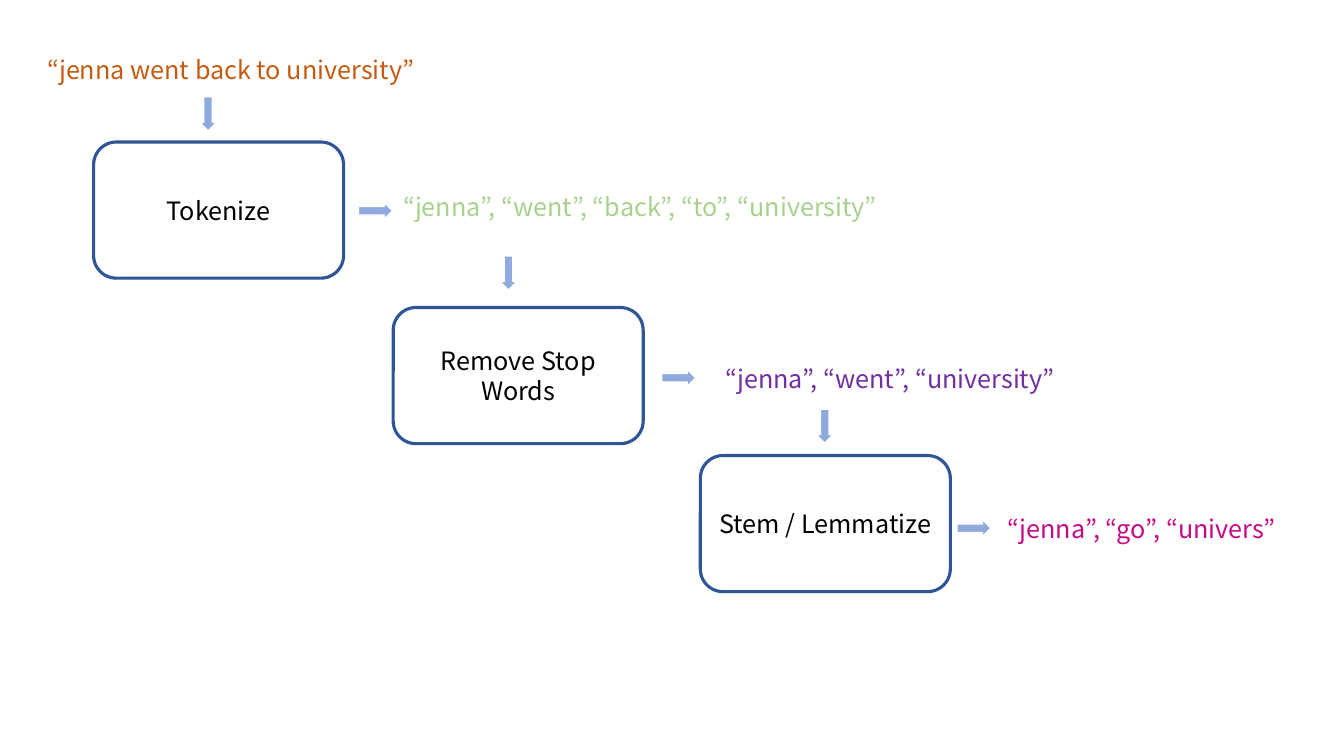
from dataclasses import dataclass

import pptx
import pptx.dml.color
import pptx.enum.shapes
import pptx.enum.text
import pptx.util
from pptx.dml.color import RGBColor
from pptx.util import Cm

FONT = "Noto Sans CJK KR"
BLACK = RGBColor(0x00, 0x00, 0x00)
WHITE = RGBColor(0xFF, 0xFF, 0xFF)
BOX_BLUE = RGBColor(0x2F, 0x55, 0x97)
ARROW_BLUE = RGBColor(0x8F, 0xAA, 0xDC)
ORANGE = RGBColor(0xC5, 0x5A, 0x11)
GREEN = RGBColor(0xA9, 0xD1, 0x8E)
PURPLE = RGBColor(0x70, 0x30, 0xA0)
MAGENTA = RGBColor(0xC6, 0x0A, 0x87)

BOX_SIZE = (6.3, 3.43)
ARROW_SIZE = (0.43, 0.86)
LABEL_HEIGHT = 1.02

Shapes = pptx.enum.shapes.MSO_SHAPE
Anchor = pptx.enum.text.MSO_ANCHOR
Align = pptx.enum.text.PP_ALIGN
AutoSize = pptx.enum.text.MSO_AUTO_SIZE
Point = tuple[float, float]


@dataclass(frozen=True)
class Label:
    text: str
    position: Point
    width: float
    color: RGBColor


@dataclass(frozen=True)
class Step:
    name: str
    position: Point
    arrow_in: Point
    arrow_out: Point
    result: Label


SENTENCE = Label("“jenna went back to university”", (0.94, 1.24), 10.87, ORANGE)
STEPS = [
    Step("Tokenize", (2.36, 3.58), (5.03, 2.44), (9.25, 4.88),
         Label("“jenna”, “went”, “back”, “to”, “university”", (9.91, 4.7), 12.8, GREEN)),
    Step("Remove Stop Words", (9.91, 7.75), (12.6, 6.45), (16.89, 9.09),
         Label("“jenna”, “went”, “university”", (18.03, 9.02), 12.8, PURPLE)),
    Step("Stem / Lemmatize", (17.65, 11.48), (20.57, 10.31), (24.33, 12.88),
         Label("“jenna”, “go”, “univers”", (25.15, 12.8), 8.7, MAGENTA)),
]


def write_text(shape, text: str, *, color: RGBColor, align=Align.LEFT,
               anchor=Anchor.TOP, auto_size=AutoSize.NONE) -> None:
    frame = shape.text_frame
    frame.word_wrap = True
    frame.auto_size = auto_size
    frame.vertical_anchor = anchor
    paragraph = frame.paragraphs[0]
    paragraph.alignment = align
    run = paragraph.add_run()
    run.text = text
    run.font.name = FONT
    run.font.size = pptx.util.Pt(18)
    run.font.color.rgb = color


def add_figure(slide, kind, position: Point, size: Point, *, fill: RGBColor,
               line: RGBColor, line_width: float):
    shape = slide.shapes.add_shape(kind, *map(Cm, position + size))
    shape.shadow.inherit = False
    shape.fill.solid()
    shape.fill.fore_color.rgb = fill
    shape.line.color.rgb = line
    shape.line.width = pptx.util.Pt(line_width)
    return shape


def add_arrow(slide, position: Point, rotation: float = 0) -> None:
    arrow = add_figure(slide, Shapes.DOWN_ARROW, position, ARROW_SIZE,
                       fill=ARROW_BLUE, line=WHITE, line_width=1)
    arrow.rotation = rotation


def add_label(slide, label: Label) -> None:
    size = (label.width, LABEL_HEIGHT)
    box = slide.shapes.add_textbox(*map(Cm, label.position + size))
    write_text(box, label.text, color=label.color, auto_size=AutoSize.SHAPE_TO_FIT_TEXT)


def add_step(slide, step: Step) -> None:
    box = add_figure(slide, Shapes.ROUNDED_RECTANGLE, step.position, BOX_SIZE,
                     fill=WHITE, line=BOX_BLUE, line_width=2.25)
    write_text(box, step.name, color=BLACK, align=Align.CENTER, anchor=Anchor.MIDDLE)
    add_arrow(slide, step.arrow_in)
    add_arrow(slide, step.arrow_out, rotation=270)
    add_label(slide, step.result)


def main() -> None:
    presentation = pptx.Presentation()
    presentation.slide_width = Cm(33.87)
    presentation.slide_height = Cm(19.05)
    slide = presentation.slides.add_slide(presentation.slide_layouts.get_by_name("Blank"))
    add_label(slide, SENTENCE)
    for step in STEPS:
        add_step(slide, step)
    presentation.save("out.pptx")


if __name__ == "__main__":
    main()
